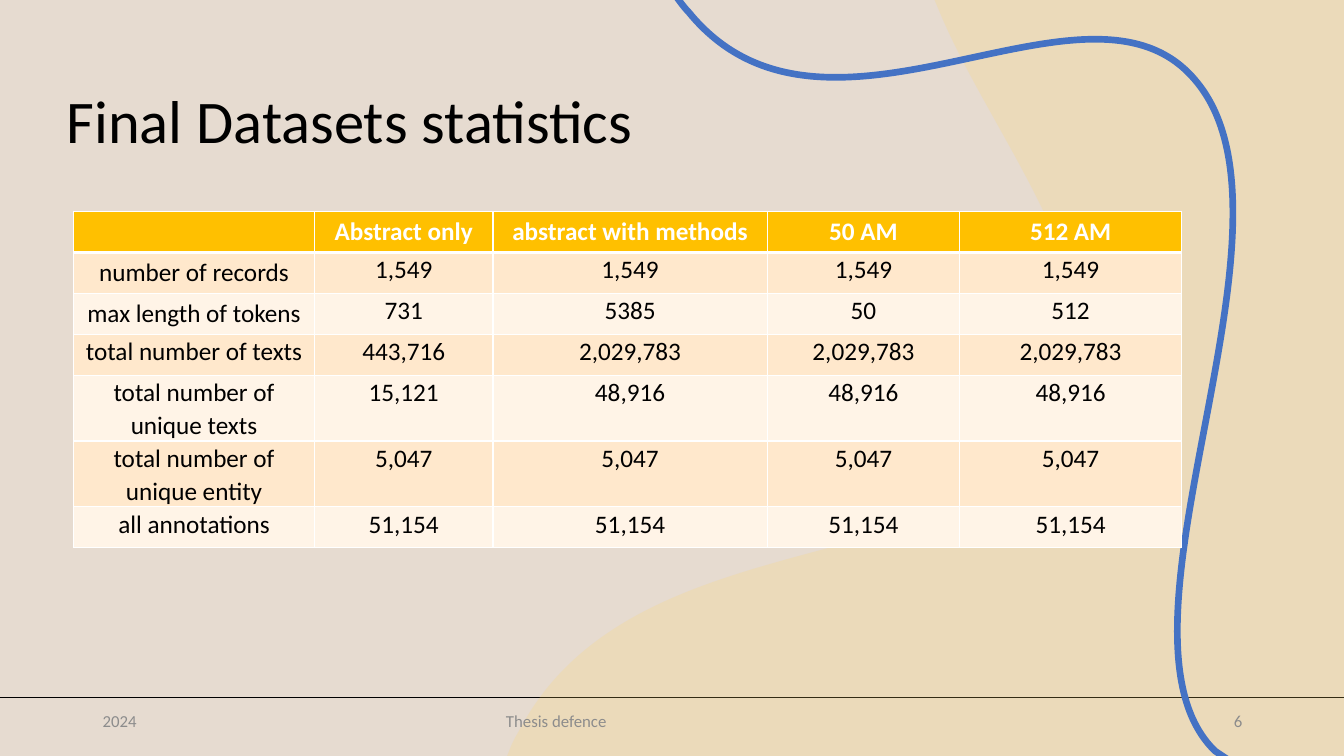
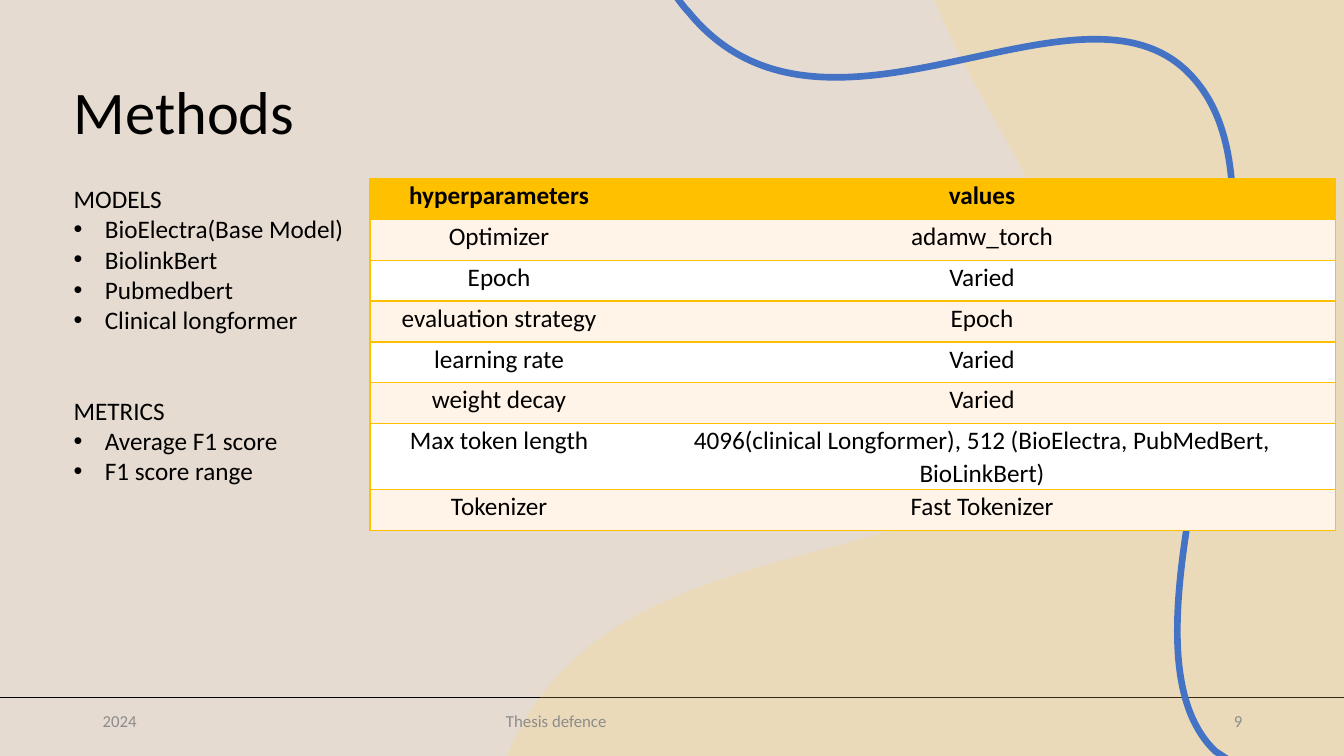
from lxml import etree
from pptx import Presentation
from pptx.dml.color import RGBColor
from pptx.enum.shapes import MSO_CONNECTOR
from pptx.enum.text import MSO_ANCHOR, MSO_AUTO_SIZE, PP_ALIGN
from pptx.oxml.ns import qn
from pptx.util import Inches, Pt

LEFT, CENTER, RIGHT = PP_ALIGN.LEFT, PP_ALIGN.CENTER, PP_ALIGN.RIGHT
TOP, MIDDLE = MSO_ANCHOR.TOP, MSO_ANCHOR.MIDDLE
NO_FIT = MSO_AUTO_SIZE.NONE
STRAIGHT = MSO_CONNECTOR.STRAIGHT

W, H = 13.33, 7.5
RULE_Y = 6.92
FONT = "Calibri"
SAND, YELLOW, BLUE, GOLD = "E6DBD0", "FFD966", "4472C4", "FFC000"
PEACH, CREAM, WHITE, BLACK, GREY = "FFE8CC", "FFF4E7", "FFFFFF", "000000", "8C8C8C"
ROW, TALL_ROW = Pt(29.2), Pt(46.8)
TITLE_ONLY, TWO_CONTENT = 5, 3

# Each step is an end point, or two control points and an end point of a curve
BLOB_BOX = (5.03, 0, 8.3, H)
BLOB = [(9.27, 0), (W, 0), (W, H), (5.03, H), (5.07, 7.4),
        (5.11, 7.31, 5.15, 7.25, 5.17, 7.21),
        (6.31, 5.12, 9.62, 5.78, 10.52, 4.19),
        (11.23, 2.96, 9.88, 1.46, 9.32, 0.12)]
RIBBON_BOX = (6.71, -0.03, 5.52, 7.56)
RIBBON = [(12.17, 7.53), (12.14, 7.51), (12.05, 7.45),
          (10.84, 6.27, 13.07, 2.2, 11.85, 0.79),
          (10.78, -0.47, 8.2, 1.8, 6.83, 0.12),
          (6.8, 0.09, 6.76, 0.04, 6.71, -0.03)]


def rgb(value):
    return RGBColor.from_string(value)


def sub(parent, tag, **attrs):
    return etree.SubElement(parent, qn(tag), {k: str(v) for k, v in attrs.items()})


def apply(obj, **formats):
    for name, value in formats.items():
        setattr(obj, name, value)


def place(sp, box):
    apply(sp, **dict(zip(("left", "top", "width", "height"), map(Inches, box))))


def write(p, text, size=18, color=BLACK, bold=False, **formats):
    r = p.add_run()
    r.text = text
    apply(r.font, name=FONT, size=Pt(size), bold=bold)
    r.font.color.rgb = rgb(color)
    apply(p, **formats)


# ---- shared backdrop ----

def add_outline(s, box, steps, close):
    """Add a freeform in the box whose path is made of lines and cubic curves."""
    ends = [(Inches(step[-2]), Inches(step[-1])) for step in steps]
    builder = s.shapes.build_freeform(*ends[0])
    builder.add_line_segments(ends[1:], close=close)
    sp = builder.convert_to_shape()
    sp.shadow.inherit = False
    place(sp, box)

    path = sp.element.find(".//" + qn("a:path"))
    path.set("w", str(sp.width))
    path.set("h", str(sp.height))
    for old in list(path):
        path.remove(old)
    for i, step in enumerate(steps):
        tag = "a:moveTo" if i == 0 else "a:lnTo" if len(step) == 2 else "a:cubicBezTo"
        part = sub(path, tag)
        for x, y in zip(step[::2], step[1::2]):
            sub(part, "a:pt", x=Inches(x) - sp.left, y=Inches(y) - sp.top)
    if close:
        sub(path, "a:close")
    return sp


def set_line(sp, color, width):
    sp.line.color.rgb = rgb(color)
    sp.line.width = Pt(width)


def build_master(master, s):
    """Draw the backdrop on a slide and move it to the master behind all else."""
    master.background.fill.solid()
    master.background.fill.fore_color.rgb = rgb(SAND)

    rule = s.shapes.add_connector(STRAIGHT, 0, Inches(RULE_Y), Inches(W), Inches(RULE_Y))
    set_line(rule, BLACK, 1.25)
    sub(rule.element.spPr, "a:effectLst")

    blob = add_outline(s, BLOB_BOX, BLOB, True)
    blob.fill.solid()
    blob.fill.fore_color.rgb = rgb(YELLOW)
    blob.line.fill.background()
    sub(blob.element.spPr.find(".//" + qn("a:srgbClr")), "a:alpha", val=20000)

    ribbon = add_outline(s, RIBBON_BOX, RIBBON, False)
    ribbon.fill.background()
    set_line(ribbon, BLUE, 4.75)

    tree = master.element.cSld.spTree
    for i, sp in enumerate((rule, blob, ribbon)):
        sp.element.find(".//" + qn("p:cNvPr")).set("id", str(100 + i))
        tree.insert(2 + i, sp.element)


# ---- text regions ----

def set_title(s, text, left, top):
    sp = s.shapes.title
    place(sp, (left, top, 11.5, 0.74))
    apply(sp.text_frame, vertical_anchor=MIDDLE, auto_size=NO_FIT, word_wrap=True)
    write(sp.text_frame.paragraphs[0], text, 43.2, alignment=LEFT, line_spacing=0.9)


def add_footer(s, number):
    top = RULE_Y + 0.03
    for text, left, width, align in ((str(number), 9.42, 3, RIGHT),
                                     ("2024\tThesis defence", 0.92, 7.82, LEFT)):
        tf = s.shapes.add_textbox(*map(Inches, (left, top, width, 0.4))).text_frame
        apply(tf, word_wrap=True, vertical_anchor=MIDDLE)
        p = tf.paragraphs[0]
        write(p, text, 12, GREY, alignment=align)
        if "\t" in text:
            tabs = sub(p._p.get_or_add_pPr(), "a:tabLst")
            sub(tabs, "a:tab", pos=Inches(4), algn="l")


def fill_list(sp, box, heading, items):
    place(sp, box)
    tf = sp.text_frame
    apply(tf, vertical_anchor=TOP, auto_size=NO_FIT, word_wrap=True)
    for i, text in enumerate([heading, *items]):
        p = tf.add_paragraph() if i else tf.paragraphs[0]
        write(p, text, alignment=LEFT, space_before=Pt(0))
        pPr = p._p.get_or_add_pPr()
        indent = Inches(0.31) if i else 0
        pPr.set("marL", str(indent))
        pPr.set("indent", str(-indent))
        if i:
            sub(pPr, "a:buFont", typeface="Arial")
            sub(pPr, "a:buChar", char="•")
        else:
            sub(pPr, "a:buNone")


# ---- tables ----

def set_borders(cell, borders):
    """Draw the sides L, R, T, B given as (colour, width); a side with None is bare."""
    tcPr = cell._tc.get_or_add_tcPr()
    for side in "LRTB":
        color, width = borders[side] or (None, 0)
        ln = sub(tcPr, "a:ln" + side, w=Pt(width))
        if color:
            sub(sub(ln, "a:solidFill"), "a:srgbClr", val=color)
        else:
            sub(ln, "a:noFill")


def add_grid(s, box, widths, rows, tall, bands, header_color, borders, padded):
    """Add a table; borders(row, col) gives the sides, padded(row, col) the roomy cells."""
    left, top, width = map(Inches, box)
    heights = [TALL_ROW if i in tall else ROW for i in range(len(rows))]
    frame = s.shapes.add_table(len(rows), len(widths), left, top, width, sum(heights))
    table = frame.table
    table.horz_banding = False
    for col, share in zip(table.columns, widths):
        col.width = int(width * share / sum(widths))
    for i, texts in enumerate(rows):
        table.rows[i].height = heights[i]
        for j, text in enumerate(texts):
            cell = table.cell(i, j)
            set_borders(cell, borders(i, j))
            cell.fill.solid()
            cell.fill.fore_color.rgb = rgb(bands[(i - 1) % 2] if i else GOLD)
            formats = {"alignment": CENTER}
            if not padded(i, j):
                apply(cell, margin_left=Inches(0.07), margin_right=Inches(0.07),
                      margin_top=0, margin_bottom=0)
                formats.update(line_spacing=1.07, space_after=Pt(8))
            if text:
                write(cell.text_frame.paragraphs[0], text, bold=i == 0,
                      color=BLACK if i else header_color, **formats)


def white_borders(i, j):
    """White lines all round, heavy under the header."""
    thin, heavy = (WHITE, 1), (WHITE, 3)
    return {"L": thin, "R": thin, "T": heavy if i == 1 else thin,
            "B": thin if i else heavy}


def gold_borders(i, j):
    """Gold frame and row lines, none between the two columns."""
    gold = (GOLD, 1)
    return {"L": None if j else gold, "R": gold if j else None, "T": gold, "B": gold}


# ---- slides ----

def build_statistics(s):
    set_title(s, "Final Datasets statistics", 0.56, 0.86)
    rows = [
        ("", "Abstract only", "abstract with methods", "50 AM", "512 AM"),
        ("number of records", *["1,549"] * 4),
        ("max length of tokens", "731", "5385", "50", "512"),
        ("total number of texts", "443,716", *["2,029,783"] * 3),
        ("total number of unique texts", "15,121", *["48,916"] * 3),
        ("total number of unique entity", *["5,047"] * 4),
        ("all annotations", *["51,154"] * 4),
    ]
    add_grid(s, (0.73, 2.1, 10.99), (2.39, 1.77, 2.72, 1.91, 2.2), rows, (4, 5),
             (PEACH, CREAM), WHITE, white_borders,
             lambda i, j: i == 0 or (j == 0 and i < 3))
    add_footer(s, 6)


def build_methods(s):
    set_title(s, "Methods", 0.63, 0.77)
    fill_list(s.placeholders[1], (0.63, 1.77, 3.62, 1.62), "MODELS",
              ["BioElectra(Base Model)", "BiolinkBert", "Pubmedbert",
               "Clinical longformer"])
    fill_list(s.placeholders[2], (0.63, 3.87, 3.62, 1.01), "METRICS",
              ["Average F1 score", "F1 score range"])
    rows = [
        ("hyperparameters", "values"),
        ("Optimizer", "adamw_torch"),
        ("Epoch", "Varied"),
        ("evaluation strategy", "Epoch"),
        ("learning rate", "Varied"),
        ("weight decay", "Varied"),
        ("Max token length",
         "4096(clinical Longformer), 512 (BioElectra, PubMedBert, BioLinkBert)"),
        ("Tokenizer", "Fast Tokenizer"),
    ]
    add_grid(s, (3.67, 1.77, 9.58), (2.56, 7.02), rows, (6,), (CREAM, WHITE), BLACK,
             gold_borders, lambda i, j: False)
    add_footer(s, 9)


def main():
    prs = Presentation()
    apply(prs, slide_width=Inches(W), slide_height=Inches(H))
    statistics, methods = (prs.slides.add_slide(prs.slide_layouts[n])
                           for n in (TITLE_ONLY, TWO_CONTENT))
    build_master(prs.slide_master, statistics)
    build_statistics(statistics)
    build_methods(methods)
    prs.save("out.pptx")


if __name__ == "__main__":
    main()
